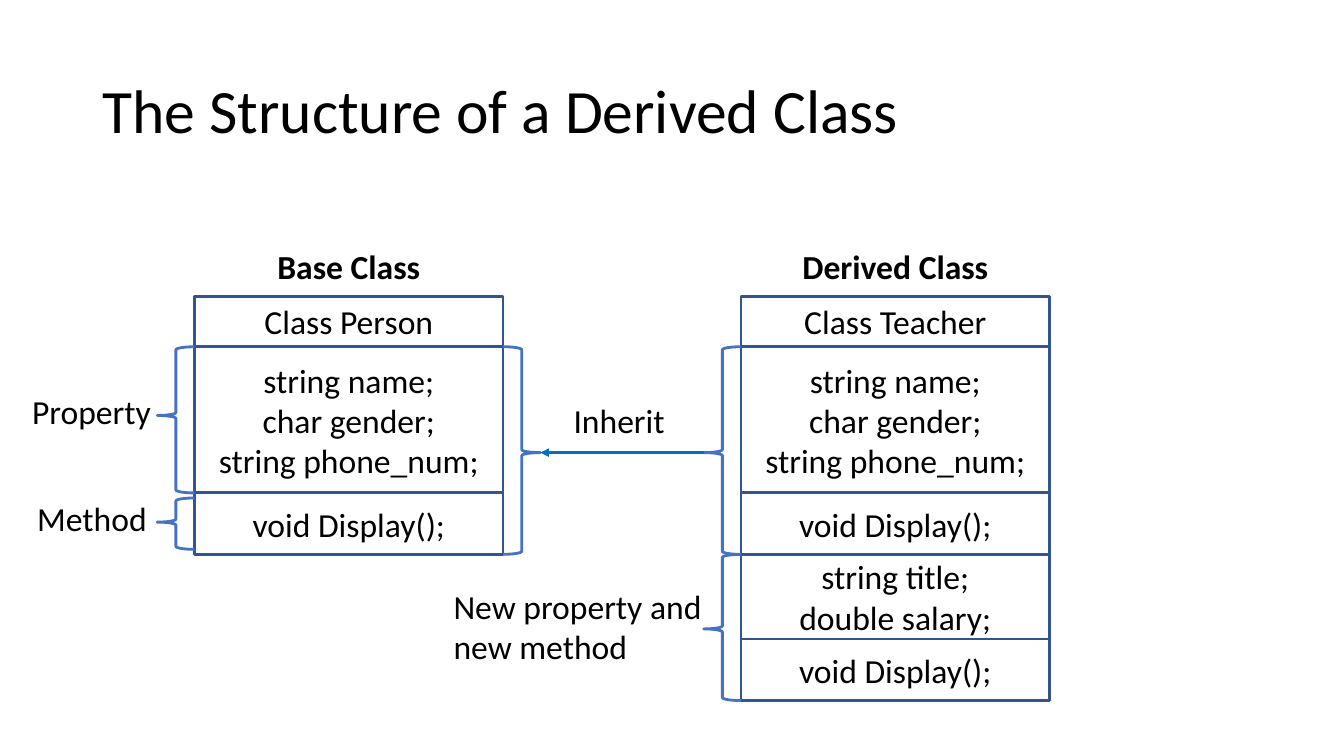
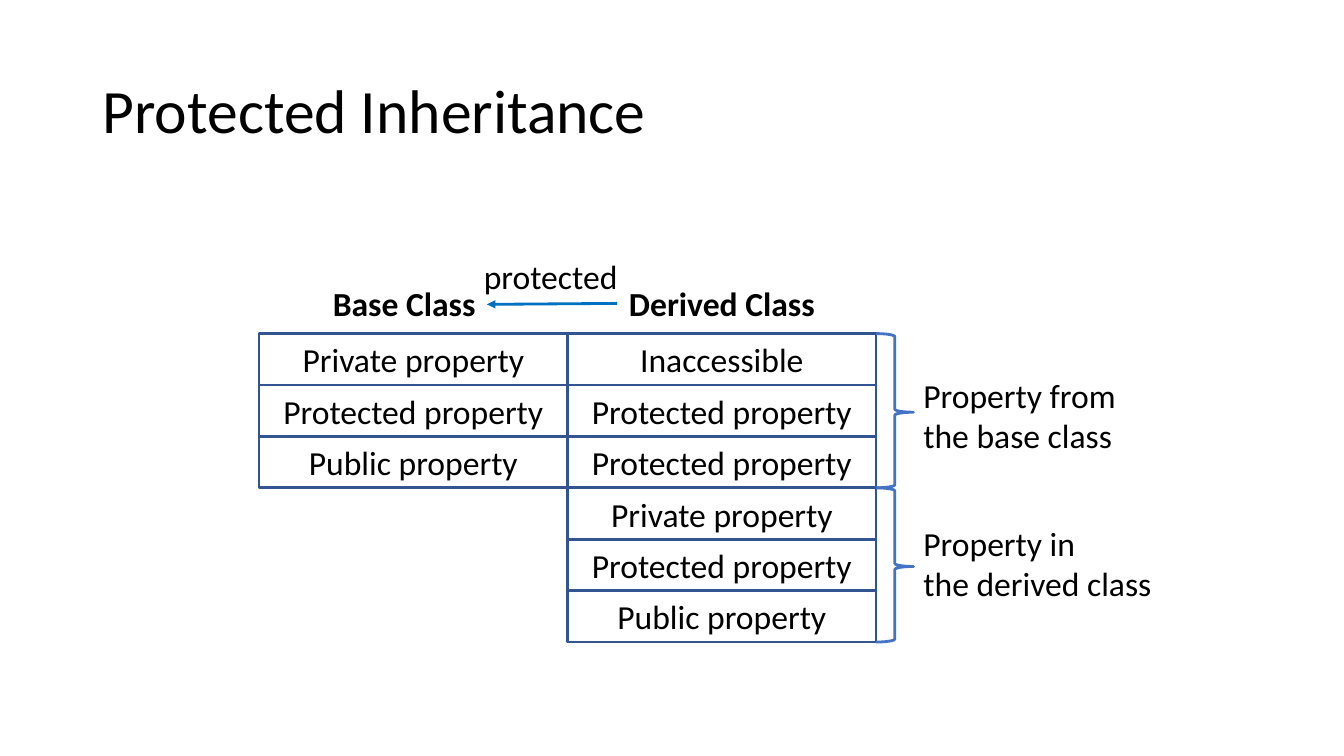
from dataclasses import dataclass
from itertools import accumulate

from lxml.etree import SubElement
from pptx import Presentation
from pptx.dml.color import RGBColor
from pptx.enum.shapes import MSO_CONNECTOR as Connector, MSO_SHAPE as Shape
from pptx.enum.text import MSO_ANCHOR as Anchor, PP_ALIGN as Align
from pptx.oxml.ns import qn
from pptx.util import Inches, Pt

COLORS = {"text": "000000", "box": "325491", "brace": "4472C4", "arrow": "0070C0"}
FONT = "Calibri"
LINE_WIDTH = 2

# The diagrams share a grid: class columns, brace gutters beside them, text rows.
SLIDE_W, SLIDE_H = 13.33, 7.5
COLUMN_W = 3.06
GUTTER_W = 0.37
ROW_H = 0.51
LINE_H = 0.5
HEADING_RISE = 0.55
BRACE_CURL = 0.08


@dataclass(frozen=True)
class Row:
    text: str
    height: float = ROW_H


@dataclass(frozen=True)
class ClassColumn:
    heading: str
    left: float
    top: float
    rows: tuple[Row, ...]
    heading_shift: float = 0

    @property
    def right(self) -> float:
        return self.left + COLUMN_W

    @property
    def edges(self) -> list[float]:
        """Heights of all row borders, from the top one to the bottom one."""
        return list(accumulate((row.height for row in self.rows), initial=self.top))


@dataclass(frozen=True)
class Brace:
    """Groups the rows first to last - 1 of a column, on one of its sides."""
    column: ClassColumn
    first: int
    last: int
    on_right: bool = False
    tip_share: float = 0.51
    inset: float = 0

    @property
    def left(self) -> float:
        return self.column.right if self.on_right else self.column.left - GUTTER_W

    @property
    def top(self) -> float:
        return self.column.edges[self.first] + self.inset

    @property
    def height(self) -> float:
        return self.column.edges[self.last] - self.inset - self.top

    @property
    def tip(self) -> tuple[float, float]:
        x = self.left + (GUTTER_W if self.on_right else 0)
        return x, self.top + self.height * self.tip_share


@dataclass(frozen=True)
class Label:
    text: str
    left: float
    top: float
    width: float


@dataclass(frozen=True)
class Arrow:
    start: tuple[float, float]
    end: tuple[float, float]


@dataclass(frozen=True)
class Diagram:
    title: str
    columns: tuple[ClassColumn, ...]
    braces: tuple[Brace, ...]
    labels: tuple[Label, ...]
    arrow: Arrow


def rgb(role: str) -> RGBColor:
    return RGBColor.from_string(COLORS[role])


def set_line(line, role: str) -> None:
    line.color.rgb = rgb(role)
    line.width = Pt(LINE_WIDTH)


def write_text(shape, text: str, *, size: float = 24, bold: bool = False,
               align=Align.LEFT, anchor=Anchor.TOP, wrap: bool = True,
               spacing: float | None = None) -> None:
    frame = shape.text_frame
    frame.word_wrap = wrap
    frame.vertical_anchor = anchor
    frame.text = text
    for paragraph in frame.paragraphs:
        paragraph.alignment = align
        paragraph.line_spacing = spacing
        for run in paragraph.runs:
            run.font.name = FONT
            run.font.size = Pt(size)
            run.font.bold = bold
            run.font.color.rgb = rgb("text")


def add_text(slide, text: str, left: float, top: float, width: float,
             height: float, **text_format) -> None:
    box = slide.shapes.add_textbox(*map(Inches, (left, top, width, height)))
    write_text(box, text, **text_format)


def add_outline(slide, kind, left: float, top: float, width: float,
                height: float, role: str):
    """Add a preset shape with an outline and no fill."""
    shape = slide.shapes.add_shape(kind, *map(Inches, (left, top, width, height)))
    shape.shadow.inherit = False
    shape.fill.background()
    set_line(shape.line, role)
    return shape


def draw_title(slide, title: str) -> None:
    add_text(slide, title, 0.92, 0.4, 11.5, 1.45, size=44,
             anchor=Anchor.MIDDLE, spacing=0.9)


def draw_column(slide, column: ClassColumn) -> None:
    add_text(slide, column.heading, column.left + column.heading_shift,
             column.top - HEADING_RISE, COLUMN_W, LINE_H, bold=True, align=Align.CENTER)
    for row, top in zip(column.rows, column.edges):
        cell = add_outline(slide, Shape.RECTANGLE, column.left, top, COLUMN_W,
                           row.height, "box")
        write_text(cell, row.text, align=Align.CENTER, anchor=Anchor.MIDDLE)


def draw_brace(slide, brace: Brace) -> None:
    kind = Shape.RIGHT_BRACE if brace.on_right else Shape.LEFT_BRACE
    shape = add_outline(slide, kind, brace.left, brace.top, GUTTER_W,
                        brace.height, "brace")
    shape.adjustments[0] = BRACE_CURL
    shape.adjustments[1] = brace.tip_share


def draw_label(slide, label: Label) -> None:
    line_count = label.text.count("\n") + 1
    add_text(slide, label.text, label.left, label.top, label.width,
             0.1 + 0.4 * line_count, wrap=False)


def draw_arrow(slide, arrow: Arrow) -> None:
    connector = slide.shapes.add_connector(
        Connector.STRAIGHT, *map(Inches, arrow.start + arrow.end))
    set_line(connector.line, "arrow")
    SubElement(connector.line._get_or_add_ln(), qn("a:tailEnd"), type="triangle")
    SubElement(connector._element.spPr, qn("a:effectLst"))


def derived_class_diagram() -> Diagram:
    top = 2.94
    members = (Row("string name;\nchar gender;\nstring phone_num;", 1.45),
               Row("void Display();", 0.61))
    person = ClassColumn("Base Class", 1.93, top, (Row("Class Person", LINE_H), *members))
    teacher = ClassColumn("Derived Class", 7.35, top, (
        Row("Class Teacher", LINE_H), *members,
        Row("string title;\ndouble salary;", 0.84), Row("void Display();", 0.61)))
    properties = Brace(person, 1, 2, tip_share=0.47)
    methods = Brace(person, 2, 3, tip_share=0.47, inset=0.05)
    base_members = Brace(person, 1, 3, on_right=True)
    inherited = Brace(teacher, 1, 3)
    added = Brace(teacher, 3, 5)
    return Diagram(
        "The Structure of a Derived Class",
        (person, teacher),
        (properties, methods, base_members, inherited, added),
        (Label("Property", 0.22, 3.83, 1.39),
         Label("Method", 0.27, 4.89, 1.3),
         Label("Inherit", 5.59, 3.92, 1.12),
         Label("New property and\nnew method", 4.4, 5.76, 2.69)),
        Arrow(inherited.tip, base_members.tip))


def protected_inheritance_diagram() -> Diagram:
    left, top = 2.57, 3.31
    own_rows = tuple(Row(f"{access} property")
                     for access in ("Private", "Protected", "Public"))
    inherited_rows = (Row("Inaccessible"), *[Row("Protected property")] * 2)
    base = ClassColumn("Base Class", left, top, own_rows, heading_shift=-0.09)
    derived = ClassColumn("Derived Class", base.right, top, inherited_rows + own_rows)
    from_base = Brace(derived, 0, 3, on_right=True)
    own = Brace(derived, 3, 6, on_right=True)
    label_left = derived.right + GUTTER_W
    return Diagram(
        "Protected Inheritance",
        (base, derived),
        (from_base, own),
        (Label("Property from\nthe base class", label_left, 3.67, 2.13),
         Label("Property in\nthe derived class", label_left, 5.14, 2.49),
         Label("protected", 4.7, 2.49, 1.54)),
        Arrow((6.12, 3.01), (4.83, 3.02)))


def draw_diagram(slide, diagram: Diagram) -> None:
    draw_title(slide, diagram.title)
    for column in diagram.columns:
        draw_column(slide, column)
    for brace in diagram.braces:
        draw_brace(slide, brace)
    for label in diagram.labels:
        draw_label(slide, label)
    draw_arrow(slide, diagram.arrow)


def main() -> None:
    deck = Presentation()
    deck.slide_width, deck.slide_height = Inches(SLIDE_W), Inches(SLIDE_H)
    blank = deck.slide_layouts[6]
    for diagram in (derived_class_diagram(), protected_inheritance_diagram()):
        draw_diagram(deck.slides.add_slide(blank), diagram)
    deck.save("out.pptx")


if __name__ == "__main__":
    main()
